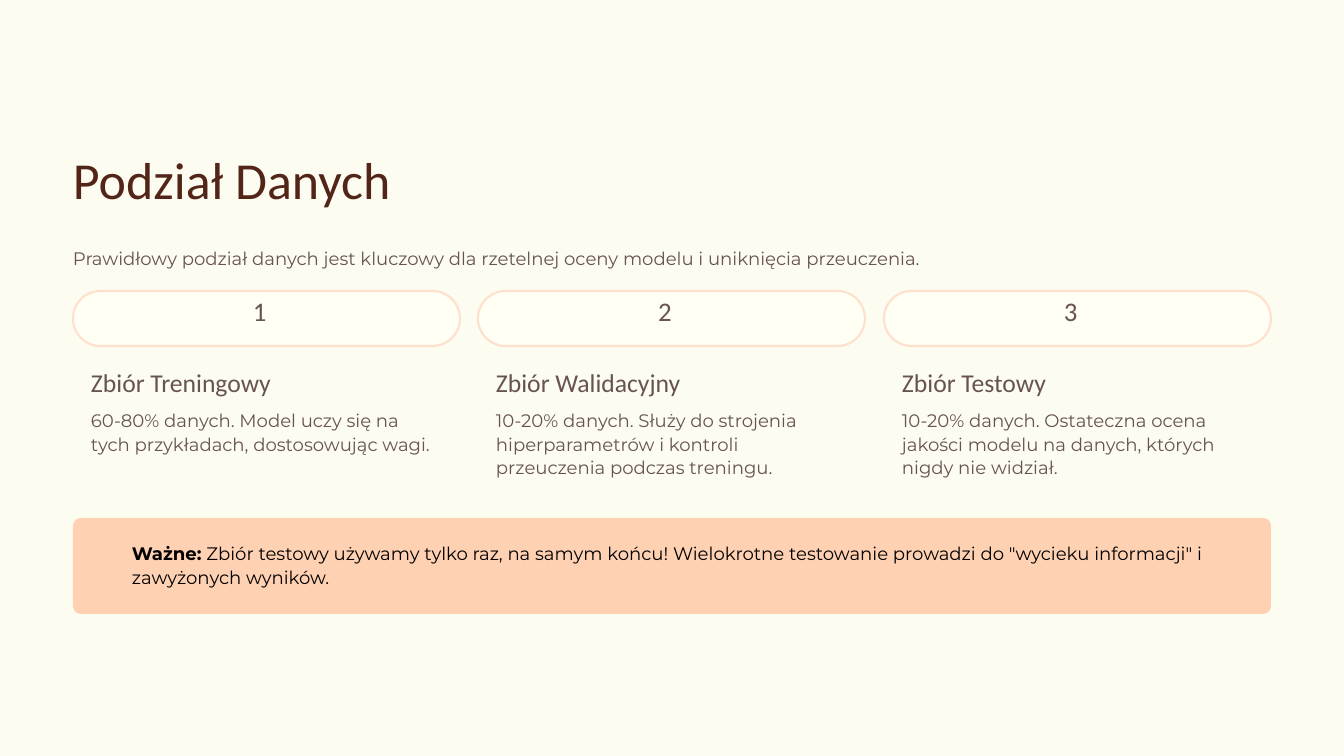
"""Build the slide on splitting data into training, validation and test sets."""
from typing import NamedTuple

from pptx import Presentation
from pptx import util as u
from pptx.dml.color import RGBColor
from pptx.enum import shapes, text

PX_PER_INCH = 84
COLORS = {
    "background": "FDFCF0",
    "title": "532418",
    "body": "67534F",
    "pill": "FFFFF4",
    "outline": "FFE0CC",
    "callout": "FFD1B3",
    "black": "000000",
}
LEFT, CONTENT_WIDTH = 73, 1198
PILL_WIDTH = 387


class Box(NamedTuple):
    left: int
    top: int
    width: int
    height: int


class DataSet(NamedTuple):
    name: str
    description: str
    height: int


DATA_SETS = [
    DataSet("Zbiór Treningowy",
            "60-80% danych. Model uczy się na tych przykładach, dostosowując wagi.", 47),
    DataSet("Zbiór Walidacyjny",
            "10-20% danych. Służy do strojenia hiperparametrów i kontroli "
            "przeuczenia podczas treningu.", 71),
    DataSet("Zbiór Testowy",
            "10-20% danych. Ostateczna ocena jakości modelu na danych, "
            "których nigdy nie widział.", 71),
]


def px(length: int) -> u.Emu:
    return u.Emu(round(length * u.Inches(1) / PX_PER_INCH))


def color(name: str) -> RGBColor:
    return RGBColor.from_string(COLORS[name])


def add_text(slide, box: Box, content: str, *, size: float = 15.5,
             font: str = "Montserrat", fill: str = "body", spacing: float = 20,
             wrap: bool = True, lead: str = "") -> None:
    shape = slide.shapes.add_textbox(*map(px, box))
    frame = shape.text_frame
    frame.word_wrap = wrap
    frame.auto_size = text.MSO_AUTO_SIZE.NONE
    frame.margin_left = frame.margin_top = frame.margin_right = frame.margin_bottom = 0
    paragraph = frame.paragraphs[0]
    paragraph.line_spacing = u.Pt(spacing)
    for part, bold in ((lead, True), (content, False)):
        if part:
            run = paragraph.add_run()
            run.text = part
            run.font.name = font
            run.font.size = u.Pt(size)
            run.font.bold = bold
            run.font.color.rgb = color(fill)


def add_panel(slide, box: Box, fill: str, rounding: float, outline: str = "") -> None:
    shape = slide.shapes.add_shape(shapes.MSO_SHAPE.ROUNDED_RECTANGLE, *map(px, box))
    shape.adjustments[0] = rounding
    shape.shadow.inherit = False
    shape.fill.solid()
    shape.fill.fore_color.rgb = color(fill)
    if outline:
        shape.line.color.rgb = color(outline)
        shape.line.width = u.Pt(1.8)
    else:
        shape.line.fill.background()


def add_data_set(slide, index: int, data_set: DataSet) -> None:
    left = LEFT + index * (CONTENT_WIDTH - PILL_WIDTH) // (len(DATA_SETS) - 1)
    add_panel(slide, Box(left, 291, PILL_WIDTH, 55), "pill", 0.5, "outline")
    add_text(slide, Box(left + 180, 300, 28, 35), str(index + 1),
             size=23, font="Calibri", spacing=23, wrap=False)
    add_text(slide, Box(left + 18, 364, 262, 34), data_set.name,
             size=22, font="Calibri", spacing=29, wrap=False)
    add_text(slide, Box(left + 18, 408, 351, data_set.height), data_set.description)


def main() -> None:
    presentation = Presentation()
    presentation.slide_width, presentation.slide_height = px(1344), px(756)
    slide = presentation.slides.add_slide(presentation.slide_layouts[6])
    slide.background.fill.solid()
    slide.background.fill.fore_color.rgb = color("background")

    add_text(slide, Box(LEFT, 142, 524, 68), "Podział Danych",
             size=44.5, font="Calibri", fill="title", spacing=58, wrap=False)
    add_text(slide, Box(LEFT, 246, CONTENT_WIDTH, 24),
             "Prawidłowy podział danych jest kluczowy dla rzetelnej oceny modelu "
             "i uniknięcia przeuczenia.", wrap=False)
    for index, data_set in enumerate(DATA_SETS):
        add_data_set(slide, index, data_set)

    add_panel(slide, Box(LEFT, 518, CONTENT_WIDTH, 96), "callout", 0.08)
    add_text(slide, Box(132, 541, 1121, 47),
             " Zbiór testowy używamy tylko raz, na samym końcu! Wielokrotne testowanie "
             'prowadzi do "wycieku informacji" i zawyżonych wyników.',
             fill="black", lead="Ważne:")
    presentation.save("out.pptx")


if __name__ == "__main__":
    main()
